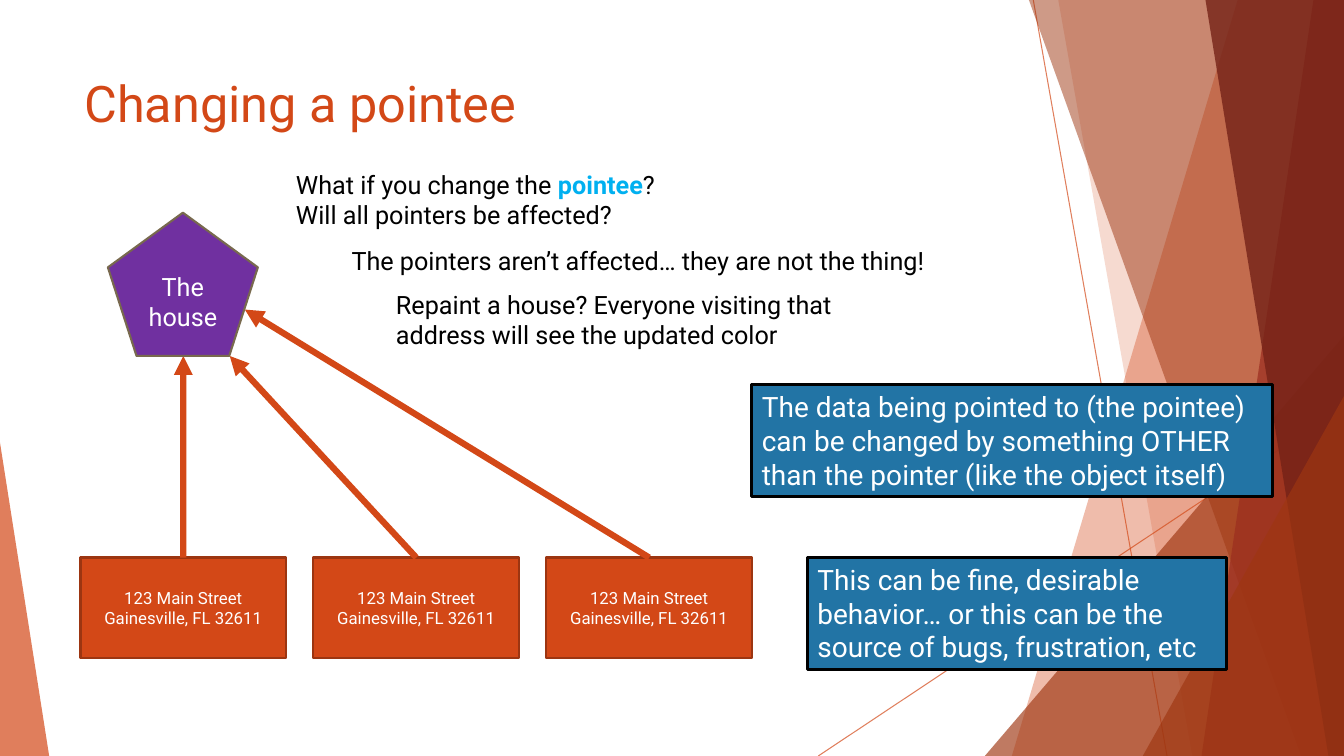
from pptx import Presentation
from pptx.dml.color import RGBColor
from pptx.enum.shapes import MSO_CONNECTOR, MSO_SHAPE
from pptx.enum.text import MSO_ANCHOR, PP_ALIGN
from pptx.oxml.ns import qn
from pptx.util import Cm, Pt
from lxml.etree import SubElement

# Content: text blocks hold paragraphs, paragraphs hold (text, format) runs
COLORS = {
    "orange": "D34817", "rust": "9E3611", "brick": "9B2D1F", "maroon": "742217",
    "box_edge": "9C3511", "purple": "7030A0", "house_edge": "78694E",
    "blue": "2274A5", "sky": "00B0F0", "black": "000000", "white": "FFFFFF",
}
WIDTH, HEIGHT = 33.87, 19.05
FONT = "Roboto"

# Thin lines: start, end
RAYS = [((26.04, 0), (29.41, HEIGHT)), ((WIDTH, 10.24), (20.62, HEIGHT))]
# Facets: ("band", top x, bottom x) reaches the right edge;
# ("triangle", left, top, width, apex) reaches the bottom edge
FACETS = [
    (("band", 31.19, 25.5), "orange", 36),
    (("band", 26.67, 30.05), "orange", 20),
    (("triangle", 24.82, 8.46, 9.05, 1), "rust", 66),
    (("band", 25.93, 32.79), "rust", 50),
    (("band", 33.1, 30.28), "brick", 70),
    (("band", 30.38, 33.48), "maroon", 80),
    (("triangle", 28.8, 9.98, 5.07, 1), "rust", 66),
    (("triangle", 0, 11.15, 1.24, 0), "orange", 70),
]
# Plain texts: place, size, color, runs
TEXTS = [
    ((1.88, 1.7, 23.88, 2.44), 36, "orange", [("Changing a pointee", {})]),
    ((7.21, 4.14, 10.34, 1.8), 18, "black", [
        ("What if you change the ", {}),
        ("pointee", {"bold": True, "color": "sky"}),
        ("? Will all pointers be affected?", {})]),
    ((8.61, 6.05, 16.92, 1.02), 18, "black",
     [("The pointers aren’t affected… they are not the thing!", {})]),
    ((9.73, 7.16, 11.81, 1.8), 18, "black",
     [("Repaint a house? Everyone visiting that address will see the updated color", {})]),
]
HOUSE = ("The house", (2.72, 5.36, 3.78, 3.61))
ADDRESS = ["123 Main Street", "Gainesville, FL 32611"]
ARROW_TIPS = [(4.62, 8.97), (5.79, 8.97), (6.17, 7.8)]
ADDRESS_PLACE, ADDRESS_PITCH = (2.03, 14.05, 5.18, 2.54), 5.87
CALLOUTS = [
    ((18.95, 9.7, 13.13, 2.82), "The data being pointed to (the pointee) can be changed "
     "by something OTHER than the pointer (like the object itself)"),
    ((20.35, 14.05, 10.57, 2.82), "This can be fine, desirable behavior… or this can be "
     "the source of bugs, frustration, etc"),
]

presentation = Presentation()
presentation.slide_width, presentation.slide_height = Cm(WIDTH), Cm(HEIGHT)
slide = presentation.slides.add_slide(presentation.slide_layouts[6])
shapes = slide.shapes


def rgb(name):
    return RGBColor.from_string(COLORS[name])


def set_alpha(color_format, percent):
    color = color_format._xFill.find(qn("a:srgbClr"))
    SubElement(color, qn("a:alpha")).set("val", str(percent * 1000))


def paint(shape, fill, edge=None, edge_width=0, alpha=None):
    shape.shadow.inherit = False
    shape.fill.solid()
    shape.fill.fore_color.rgb = rgb(fill)
    if alpha:
        set_alpha(shape.fill.fore_color, alpha)
    if edge:
        shape.line.color.rgb = rgb(edge)
        shape.line.width = Pt(edge_width)
    else:
        shape.line.fill.background()


def write(shape, paragraphs, size, color, align=PP_ALIGN.LEFT, anchor=MSO_ANCHOR.TOP):
    frame = shape.text_frame
    for name, value in {"word_wrap": True, "vertical_anchor": anchor}.items():
        setattr(frame, name, value)
    for index, runs in enumerate(paragraphs):
        paragraph = frame.add_paragraph() if index else frame.paragraphs[0]
        paragraph.alignment = align
        for text, changes in runs:
            run = paragraph.add_run()
            run.text = text
            values = {"name": FONT, "size": Pt(size), "bold": changes.get("bold", False)}
            for name, value in values.items():
                setattr(run.font, name, value)
            run.font.color.rgb = rgb(changes.get("color", color))


def add_line(start, end, width):
    line = shapes.add_connector(MSO_CONNECTOR.STRAIGHT, *map(Cm, start + end))
    line.line.color.rgb = rgb("orange")
    line.line.width = Pt(width)
    SubElement(line._element.spPr, qn("a:effectLst"))
    return line


def add_box(kind, place):
    return shapes.add_shape(kind, *map(Cm, place))


# Background rays and facets
for start, end in RAYS:
    ray = add_line(start, end, 0.75)
    set_alpha(ray.line.color, 70)

for (kind, *numbers), color, alpha in FACETS:
    if kind == "band":
        top_x, bottom_x = numbers
        builder = shapes.build_freeform(Cm(top_x), Cm(0))
        corners = [(WIDTH, 0), (WIDTH, HEIGHT), (bottom_x, HEIGHT)]
        builder.add_line_segments([(Cm(x), Cm(y)) for x, y in corners], close=True)
        facet = builder.convert_to_shape()
    else:
        left, top, width, apex = numbers
        facet = add_box(MSO_SHAPE.ISOSCELES_TRIANGLE, (left, top, width, HEIGHT - top))
        facet.adjustments[0] = apex
    paint(facet, color, alpha=alpha)

# Title and questions
for place, size, color, runs in TEXTS:
    write(shapes.add_textbox(*map(Cm, place)), [runs], size, color)

# Pointers: address boxes with arrows to the house
left, top, width, height = ADDRESS_PLACE
for index, tip in enumerate(ARROW_TIPS):
    box_left = left + index * ADDRESS_PITCH
    box = add_box(MSO_SHAPE.RECTANGLE, (box_left, top, width, height))
    paint(box, "orange", "box_edge", 1.5)
    write(box, [[(line, {})] for line in ADDRESS], 12, "white",
          PP_ALIGN.CENTER, MSO_ANCHOR.MIDDLE)
    arrow = add_line((box_left + width / 2, top), tip, 4.5)
    arrow.begin_connect(box, 0)
    SubElement(arrow.line._get_or_add_ln(), qn("a:tailEnd")).set("type", "triangle")

# The house
house_text, house_place = HOUSE
house = add_box(MSO_SHAPE.REGULAR_PENTAGON, house_place)
paint(house, "purple", "house_edge", 1.5)
write(house, [[(house_text, {})]], 18, "white", PP_ALIGN.CENTER, MSO_ANCHOR.MIDDLE)

# Callouts
for place, text in CALLOUTS:
    callout = add_box(MSO_SHAPE.RECTANGLE, place)
    paint(callout, "blue", "black", 2.25)
    write(callout, [[(text, {})]], 20, "white")

presentation.save("out.pptx")
